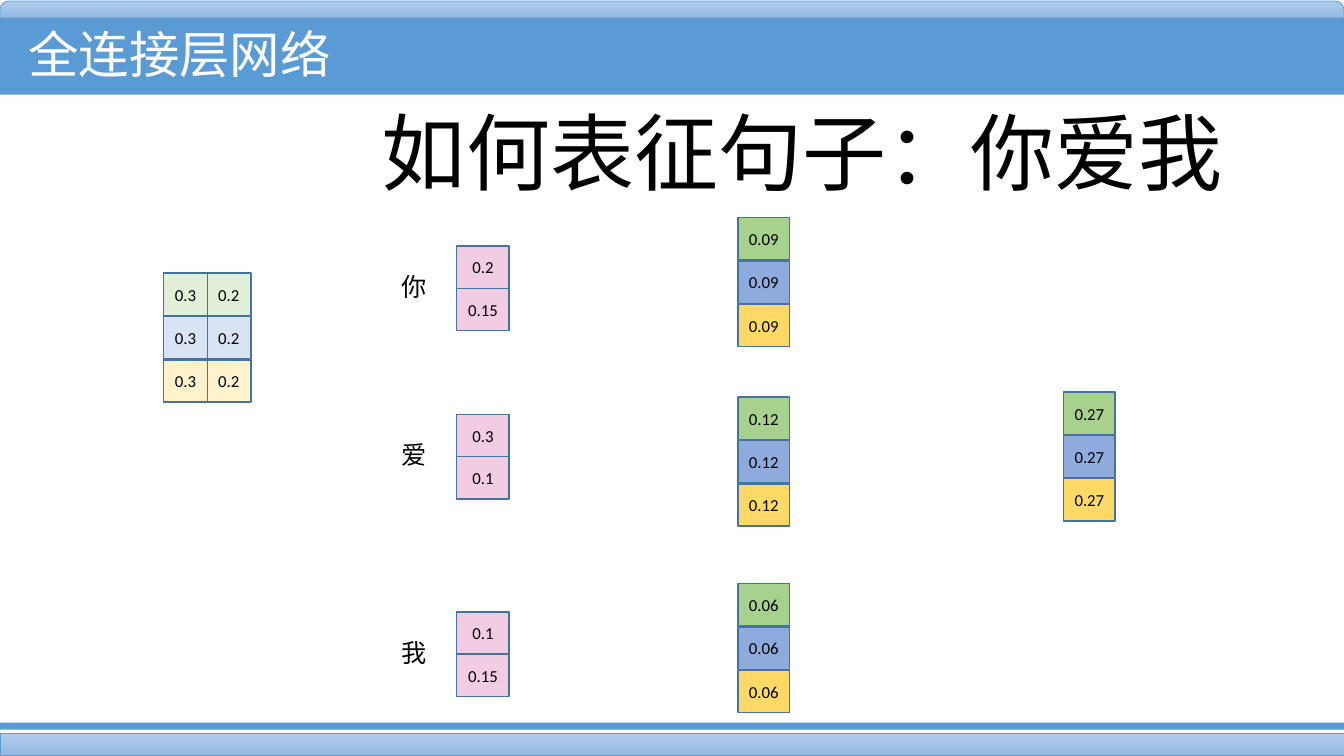
from dataclasses import dataclass

import pptx
import pptx.dml.color
import pptx.enum.shapes
import pptx.enum.text
import pptx.oxml.ns
import pptx.util
from lxml import etree
from pptx.util import Inches


@dataclass(frozen=True)
class Theme:
    latin: str = "Calibri"
    chinese: str = "Noto Sans CJK SC"
    accent: str = "5B9BD5"
    band_top: str = "B1CBE9"
    band_bottom: str = "93B9E4"
    outline: str = "43739E"
    white: str = "FFFFFF"
    black: str = "000000"
    pink: str = "F1CCE2"
    weights: tuple = ("E2F0D9", "DAE3F3", "FFF2CC")
    outputs: tuple = ("A9D18E", "8FAADC", "FFD966")
    title_size: int = 36
    question_size: int = 60
    word_size: int = 18
    cell_size: int = 12


THEME = Theme()
SLIDE_WIDTH = 13.33
CELL_HEIGHT = 0.42
ROW_STEP = 0.43
SHAPES = pptx.enum.shapes.MSO_SHAPE
ALIGN = pptx.enum.text.PP_ALIGN
ANCHOR = pptx.enum.text.MSO_ANCHOR
AUTO_SIZE = pptx.enum.text.MSO_AUTO_SIZE


def rgb(value):
    return pptx.dml.color.RGBColor.from_string(value)


def write(box, text, size, color=THEME.black, latin=THEME.latin, align=ALIGN.LEFT):
    para = box.text_frame.paragraphs[0]
    para.alignment = align
    span = para.add_run()
    span.text = text
    span.font.size = pptx.util.Pt(size)
    span.font.name = latin
    span.font.color.rgb = rgb(color)
    east_asian = etree.SubElement(span.font._element, pptx.oxml.ns.qn("a:ea"))
    east_asian.set("typeface", THEME.chinese)


def add_label(shapes, text, left, top, width, height, size):
    box = shapes.add_textbox(Inches(left), Inches(top), Inches(width), Inches(height))
    box.text_frame.word_wrap = False
    box.text_frame.auto_size = AUTO_SIZE.SHAPE_TO_FIT_TEXT
    write(box, text, size)


def add_band(slide, top, height, kind=SHAPES.RECTANGLE, shaded=False):
    band = slide.shapes.add_shape(kind, 0, Inches(top), Inches(SLIDE_WIDTH), Inches(height))
    band.shadow.inherit = False
    if shaded:
        band.fill.gradient()
        band.fill.gradient_angle = 270
        for stop, color in zip(band.fill.gradient_stops, (THEME.band_top, THEME.band_bottom)):
            stop.color.rgb = rgb(color)
        band.line.color.rgb = rgb(THEME.accent)
        band.line.width = pptx.util.Pt(0.5)
    else:
        band.fill.solid()
        band.fill.fore_color.rgb = rgb(THEME.accent)
        band.line.fill.background()
    return band


def add_cell(shapes, text, left, top, width, color):
    cell = shapes.add_shape(
        SHAPES.RECTANGLE, Inches(left), Inches(top), Inches(width), Inches(CELL_HEIGHT)
    )
    cell.shadow.inherit = False
    cell.fill.solid()
    cell.fill.fore_color.rgb = rgb(color)
    cell.line.color.rgb = rgb(THEME.outline)
    cell.line.width = pptx.util.Pt(1)
    frame = cell.text_frame
    frame.margin_left = frame.margin_right = 0
    frame.vertical_anchor = ANCHOR.MIDDLE
    write(cell, text, THEME.cell_size, align=ALIGN.CENTER)


def add_vector(shapes, values, left, top, width, colors, step=ROW_STEP):
    for row, (value, color) in enumerate(zip(values, colors)):
        add_cell(shapes, value, left, top + row * step, width, color)


def add_word(slide, word, inputs, output, input_top, output_top):
    shapes = slide.shapes.add_group_shape().shapes
    add_label(shapes, word, 3.88, input_top + 0.2, 0.45, 0.4, THEME.word_size)
    add_vector(shapes, inputs, 4.53, input_top, 0.52, [THEME.pink] * 2, CELL_HEIGHT)
    add_vector(shapes, [output] * 3, 7.32, output_top, 0.51, THEME.outputs)


def add_title(slide, text):
    title = slide.shapes.title
    title.left, title.top = Inches(0.18), Inches(0.18)
    title.width, title.height = Inches(3.5), Inches(0.71)
    title.text_frame.word_wrap = True
    title.text_frame.auto_size = AUTO_SIZE.NONE
    title.text_frame.vertical_anchor = ANCHOR.TOP
    write(title, text, THEME.title_size, THEME.white, THEME.chinese)
    title.element.getparent().append(title.element)


def main():
    deck = pptx.Presentation()
    deck.slide_width, deck.slide_height = Inches(SLIDE_WIDTH), Inches(7.5)
    page = deck.slides.add_slide(deck.slide_layouts[5])

    cap = add_band(page, 0.01, 0.17, SHAPES.ROUND_2_SAME_RECTANGLE, shaded=True)
    cap.adjustments[0] = 0.5
    add_band(page, 0.18, 0.76)
    add_band(page, 7.28, 0.21, shaded=True)
    add_band(page, 7.17, 0.07)
    add_title(page, "全连接层网络")
    add_label(page.shapes, "如何表征句子：你爱我", 3.69, 0.95, 8.81, 1.11, THEME.question_size)

    weights = page.shapes.add_group_shape().shapes
    for left, weight in ((2.05, "0.2"), (1.62, "0.3")):
        add_vector(weights, [weight] * 3, left, 2.71, 0.44, THEME.weights)

    for word in (
        ("你", ("0.2", "0.15"), "0.09", 2.44, 2.16),
        ("爱", ("0.3", "0.1"), "0.12", 4.11, 3.94),
        ("我", ("0.1", "0.15"), "0.06", 6.07, 5.79),
    ):
        add_word(page, *word)

    sentence = page.shapes.add_group_shape().shapes
    add_vector(sentence, ["0.27"] * 3, 10.55, 3.89, 0.51, THEME.outputs)

    deck.save("out.pptx")


if __name__ == "__main__":
    main()
